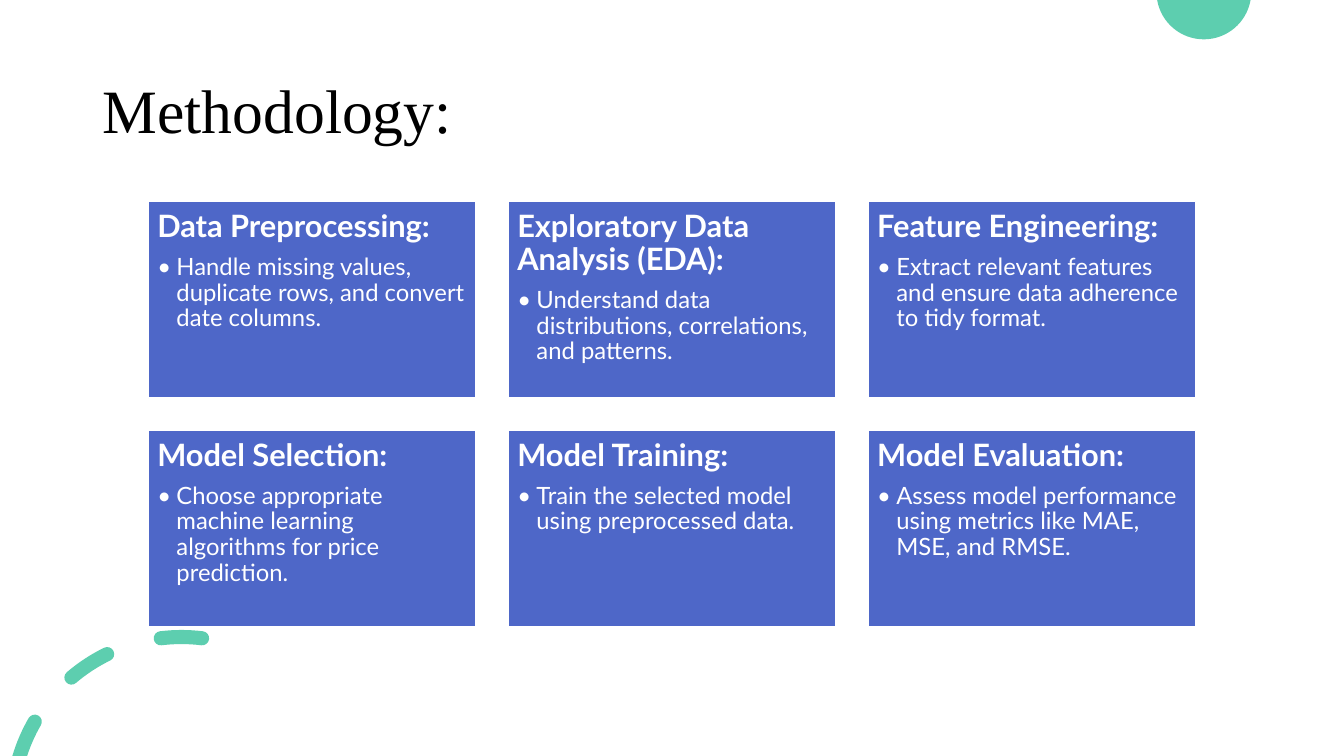
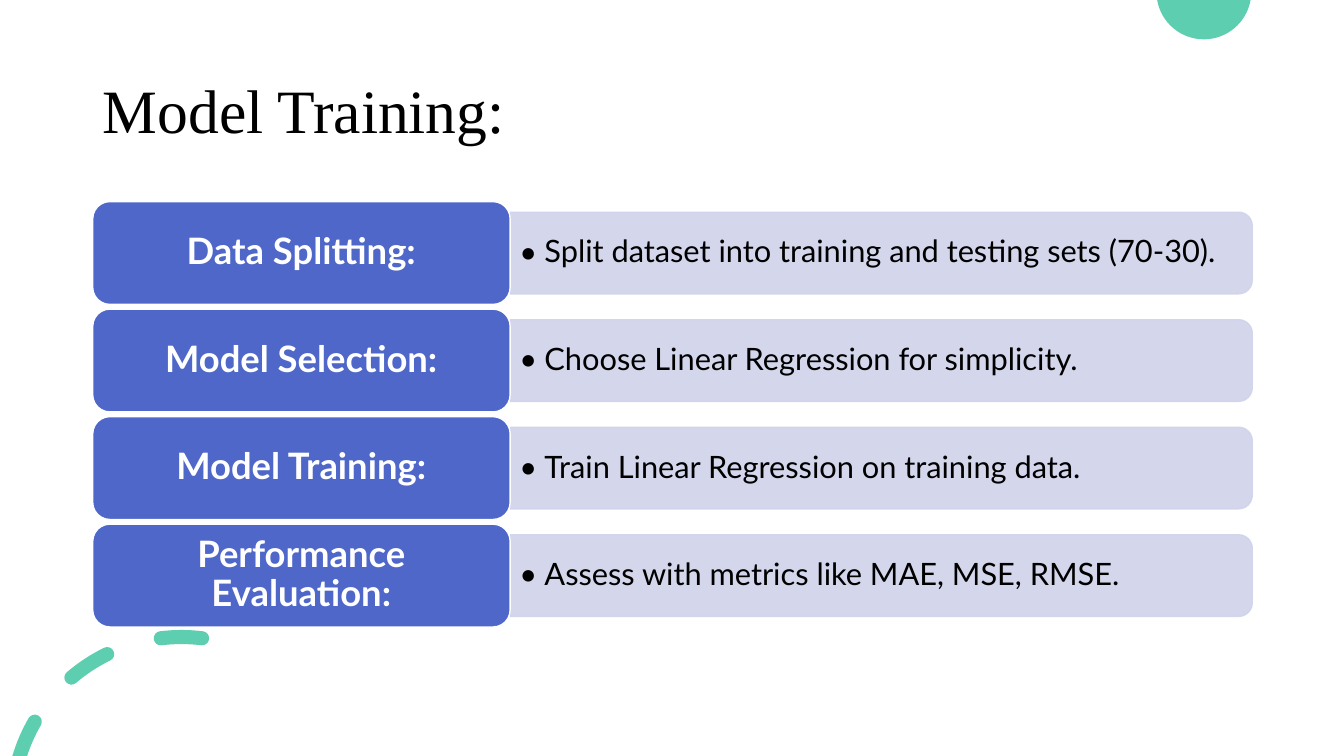
from dataclasses import dataclass
from math import asin, cos, pi, radians, sin, tan
from typing import Optional

from lxml import etree
from pptx import Presentation
from pptx.dml.color import RGBColor
from pptx.enum.shapes import MSO_SHAPE
from pptx.enum.text import MSO_ANCHOR, PP_ALIGN
from pptx.oxml.ns import qn
from pptx.util import Inches, Pt

RECT = MSO_SHAPE.RECTANGLE
ROUND_RECT = MSO_SHAPE.ROUNDED_RECTANGLE
ROUND_TOP = MSO_SHAPE.ROUND_2_SAME_RECTANGLE
TOP, MIDDLE = MSO_ANCHOR.TOP, MSO_ANCHOR.MIDDLE
LEFT, CENTER = PP_ALIGN.LEFT, PP_ALIGN.CENTER

SLIDE_W, SLIDE_H = 13.33, 7.5
BLUE, PALE, GREEN = "4E67C8", "D0D3EB", "5DCEAF"
WHITE, BLACK = "FFFFFF", "000000"
TITLE_FONT, BODY_FONT = "Times New Roman", "Lato"

RING_X, RING_Y, RING_R, DASH_HALF = 1.8, 8.0, 1.68, 0.07
DISC_X, DISC_Y, DISC_R = 11.94, -0.08, 0.47

Point = tuple[float, float]


@dataclass(frozen=True)
class TextStyle:
    size: float
    color: str
    font: str = BODY_FONT
    bold: bool = False
    align: PP_ALIGN = LEFT
    after: int = 0
    indent: float = 0


@dataclass(frozen=True)
class Item:
    heading: str
    detail: str


@dataclass(frozen=True)
class Dash:
    start: float
    end: float
    cut: bool = False


TITLE = TextStyle(44, BLACK, TITLE_FONT)
CARD_HEADING = TextStyle(22, WHITE, bold=True, after=35)
CARD_DETAIL = TextStyle(17, WHITE, after=15, indent=0.19)
ROW_LABEL = TextStyle(26, WHITE, bold=True, align=CENTER, after=35)
ROW_DETAIL = TextStyle(22, BLACK, after=15, indent=0.25)

DASHES = [Dash(0, 30, cut=True), Dash(49.5, 64), Dash(83, 97)]

STEPS = [
    Item("Data Preprocessing:",
         "Handle missing values, duplicate rows, and convert date columns."),
    Item("Exploratory Data Analysis (EDA):",
         "Understand data distributions, correlations, and patterns."),
    Item("Feature Engineering:",
         "Extract relevant features and ensure data adherence to tidy format."),
    Item("Model Selection:",
         "Choose appropriate machine learning algorithms for price prediction."),
    Item("Model Training:",
         "Train the selected model using preprocessed data."),
    Item("Model Evaluation:",
         "Assess model performance using metrics like MAE, MSE, and RMSE."),
]

PHASES = [
    Item("Data Splitting:", "Split dataset into training and testing sets (70-30)."),
    Item("Model Selection:", "Choose Linear Regression for simplicity."),
    Item("Model Training:", "Train Linear Regression on training data."),
    Item("Performance Evaluation:", "Assess with metrics like MAE, MSE, RMSE."),
]


def rgb(value: str) -> RGBColor:
    return RGBColor.from_string(value)


def paint(sp, fill: str, line: Optional[str] = None, alpha: int = 100) -> None:
    sp.shadow.inherit = False
    sp.fill.solid()
    sp.fill.fore_color.rgb = rgb(fill)
    if line:
        sp.line.color.rgb = rgb(line)
        sp.line.width = Pt(1)
    else:
        sp.line.fill.background()
    if alpha < 100:
        for color in sp.fill._xPr.iter(qn("a:srgbClr")):
            etree.SubElement(color, qn("a:alpha")).set("val", str(alpha * 1000))


def add_box(s, kind, x: float, y: float, w: float, h: float,
            fill: str, line: str, alpha: int = 100):
    sp = s.shapes.add_shape(kind, Inches(x), Inches(y), Inches(w), Inches(h))
    paint(sp, fill, line, alpha)
    return sp


def add_text(s, x: float, y: float, w: float, h: float):
    return s.shapes.add_textbox(Inches(x), Inches(y), Inches(w), Inches(h))


def set_space_after(p, percent: int) -> None:
    p.space_after = Pt(0)
    after = p._p.pPr.find(qn("a:spcAft"))
    after.clear()
    etree.SubElement(after, qn("a:spcPct")).set("val", str(percent * 1000))


def set_bullet(p, style: TextStyle) -> None:
    p.level = 1
    pr = p._p.pPr
    pr.set("marL", str(Inches(style.indent)))
    pr.set("indent", str(-Inches(style.indent)))
    etree.SubElement(pr, qn("a:buFont")).set("typeface", style.font)
    etree.SubElement(pr, qn("a:buChar")).set("char", "•")


def write(sp, lines: list[tuple[str, TextStyle]], anchor: MSO_ANCHOR,
          inset_x: float, inset_y: float) -> None:
    tf = sp.text_frame
    tf.word_wrap = True
    tf.vertical_anchor = anchor
    tf.margin_left = tf.margin_right = Inches(inset_x)
    tf.margin_top = tf.margin_bottom = Inches(inset_y)
    for i, (text, style) in enumerate(lines):
        p = tf.add_paragraph() if i else tf.paragraphs[0]
        p.alignment = style.align
        p.line_spacing = 0.9
        if style.after:
            set_space_after(p, style.after)
        if style.indent:
            set_bullet(p, style)
        r = p.add_run()
        r.text = text
        r.font.name = style.font
        r.font.size = Pt(style.size)
        r.font.bold = style.bold
        r.font.color.rgb = rgb(style.color)


def arc(x: float, y: float, radius: float, start: float, end: float) -> list[Point]:
    k = 4 / 3 * tan((end - start) / 4)

    def at(angle: float, lean: float) -> Point:
        return (x + radius * (cos(angle) - lean * sin(angle)),
                y + radius * (sin(angle) + lean * cos(angle)))

    return [at(start, 0), at(start, k), at(end, -k), at(end, 0)]


def add_curves(s, contours: list[list[list[Point]]], fill: str) -> None:
    builder = None
    for arcs in contours:
        first = [Inches(v) for v in arcs[0][0]]
        if builder is None:
            builder = s.shapes.build_freeform(*first)
        else:
            builder.move_to(*first)
        points = [(Inches(x), Inches(y)) for curve in arcs for x, y in curve[1:]]
        builder.add_line_segments(points, close=True)
    sp = builder.convert_to_shape()
    lines = list(sp._element.iter(qn("a:lnTo")))
    for group in zip(lines[::3], lines[1::3], lines[2::3]):
        curve = etree.Element(qn("a:cubicBezTo"))
        group[0].addprevious(curve)
        for line in group:
            curve.append(line[0])
            line.getparent().remove(line)
    paint(sp, fill)


def dash_contour(dash: Dash) -> list[list[Point]]:
    start, end = radians(dash.start) + pi, radians(dash.end) + pi

    def side(radius: float) -> list[Point]:
        first = asin((RING_Y - SLIDE_H) / radius) + pi if dash.cut else start
        return arc(RING_X, RING_Y, radius, first, end)

    def cap(angle: float, turn: float) -> list[list[Point]]:
        x, y = RING_X + RING_R * cos(angle), RING_Y + RING_R * sin(angle)
        return [arc(x, y, DASH_HALF, angle + turn + q, angle + turn + q + pi / 2)
                for q in (0, pi / 2)]

    inner = side(RING_R - DASH_HALF)[::-1]
    contour = [side(RING_R + DASH_HALF), *cap(end, 0), inner]
    return contour if dash.cut else contour + cap(start, pi)


def add_half_disc(s) -> None:
    edge = asin(-DISC_Y / DISC_R)
    halves = [(edge, pi / 2), (pi / 2, pi - edge)]
    add_curves(s, [[arc(DISC_X, DISC_Y, DISC_R, *half) for half in halves]], GREEN)


def add_slide(prs, title: str):
    s = prs.slides.add_slide(prs.slide_layouts[6])
    add_half_disc(s)
    add_curves(s, [dash_contour(dash) for dash in DASHES], GREEN)
    write(add_text(s, 0.92, 0.4, 11.5, 1.45), [(title, TITLE)], MIDDLE, 0.1, 0.05)
    return s


def add_cards(s, items: list[Item]) -> None:
    w, h, gap, columns = 3.25, 1.95, 0.32, 3
    for i, item in enumerate(items):
        row, column = divmod(i, columns)
        card = add_box(s, RECT, 1.47 + column * (w + gap), 2 + row * (h + gap),
                       w, h, BLUE, WHITE)
        write(card, [(item.heading, CARD_HEADING), (item.detail, CARD_DETAIL)],
              TOP, 0.09, 0.09)


def add_rows(s, items: list[Item]) -> None:
    x, label_w, label_h, bar_w, bar_h = 0.92, 4.14, 1.02, 7.36, 0.81
    bar_x = x + label_w
    pitch = 3.2 / (len(items) - 1)
    for i, item in enumerate(items):
        y = 2 + i * pitch
        middle = y + label_h / 2
        bar = add_box(s, ROUND_TOP, bar_x + (bar_w - bar_h) / 2, middle - bar_w / 2,
                      bar_h, bar_w, PALE, PALE, alpha=90)
        bar.rotation = 90
        detail = add_text(s, bar_x, middle - bar_h / 2, bar_w - 0.04, bar_h)
        write(detail, [(item.detail, ROW_DETAIL)], MIDDLE, 0.09, 0.05)
        label = add_box(s, ROUND_RECT, x, y, label_w, label_h, BLUE, WHITE)
        write(label, [(item.heading, ROW_LABEL)], MIDDLE, 0.16, 0.1)


def main() -> None:
    prs = Presentation()
    prs.slide_width, prs.slide_height = Inches(SLIDE_W), Inches(SLIDE_H)
    add_cards(add_slide(prs, "Methodology:"), STEPS)
    add_rows(add_slide(prs, "Model Training:"), PHASES)
    prs.save("out.pptx")


if __name__ == "__main__":
    main()
